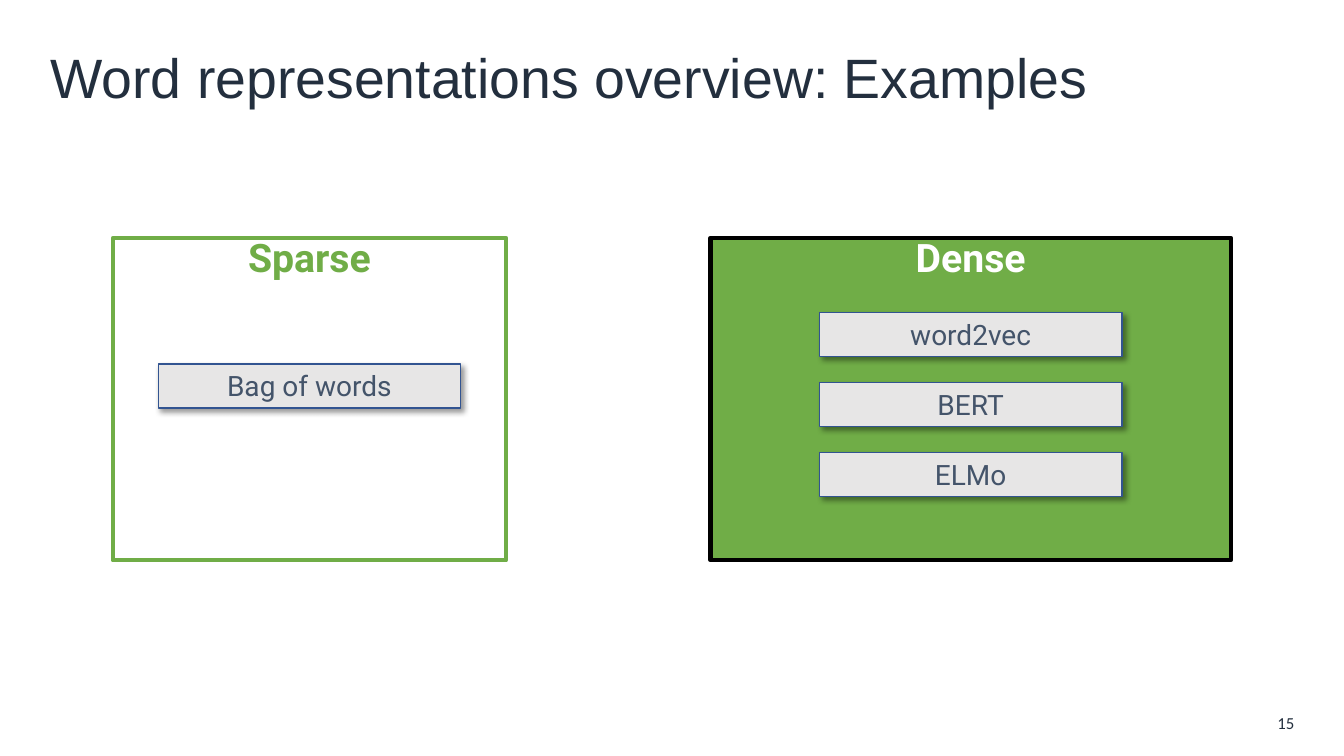
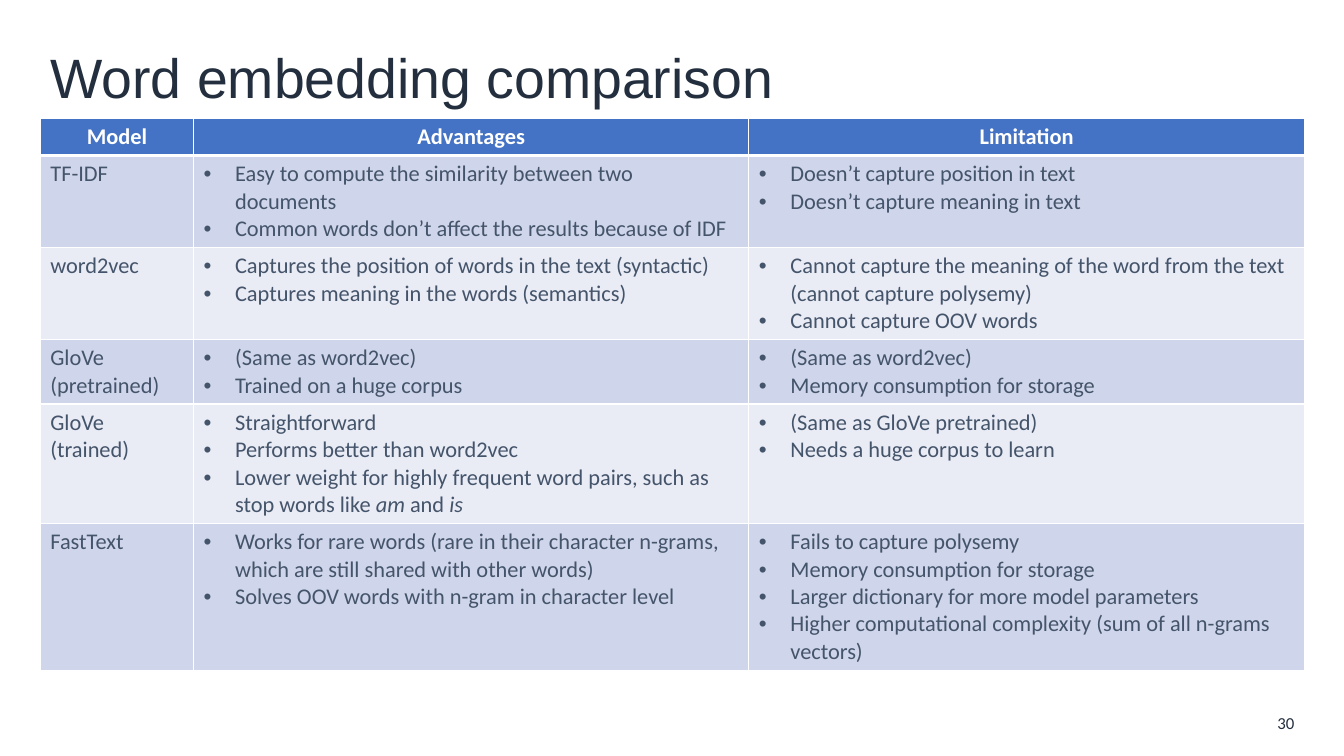
"""Build two slides on word representations: an example map and a comparison table."""
from dataclasses import dataclass

from lxml import etree
from pptx import Presentation
from pptx.dml.color import RGBColor
from pptx.enum import shapes, text
from pptx.oxml import ns
from pptx.util import Pt

COLORS = {
    "ink": "232F3E", "slate": "44546A", "white": "FFFFFF", "black": "000000",
    "green": "70AD47", "gray": "E7E6E6", "navy": "325491",
    "header": "4472C4", "band_dark": "CFD5EA", "band_light": "E9EBF5",
}
MARGIN, CONTENT_W = 28.8, 902.88
PANEL_TOP, PANEL_H = 169.92, 230.4
CARD_W, CARD_H, CARD_STEP = 216, 31.68, 50
BULLET_INDENT = 22.5
COLUMN_WIDTHS = (109.44, 396.72, 396.72)
HEADER_H = 26.4


@dataclass(frozen=True)
class Panel:
    heading: str
    left: float
    width: float
    fill: str
    line: str
    heading_color: str
    first_card_top: float
    cards: tuple[str, ...]


@dataclass(frozen=True)
class Model:
    name: str
    height: float
    advantages: tuple[str, ...]
    limitations: tuple[str, ...]


PANELS = (
    Panel("Sparse", 80.64, 280.8, "white", "green", "green", 259.92, ("Bag of words",)),
    Panel("Dense", 507.6, 371.52, "green", "black", "white", 223.2, ("word2vec", "BERT", "ELMo")),
)
HEADERS = ("Model", "Advantages", "Limitation")
MODELS = (
    Model("TF-IDF", 65.7,
          ("Easy to compute the similarity between two documents",
           "Common words don’t affect the results because of IDF"),
          ("Doesn’t capture position in text", "Doesn’t capture meaning in text")),
    Model("word2vec", 65.7,
          ("Captures the position of words in the text (syntactic)",
           "Captures meaning in the words (semantics)"),
          ("Cannot capture the meaning of the word from the text (cannot capture polysemy)",
           "Cannot capture OOV words")),
    Model("GloVe (pretrained)", 46.2,
          ("(Same as word2vec)", "Trained on a huge corpus"),
          ("(Same as word2vec)", "Memory consumption for storage")),
    Model("GloVe (trained)", 85.3,
          ("Straightforward", "Performs better than word2vec",
           "Lower weight for highly frequent word pairs, such as stop words like *am* and *is*"),
          ("(Same as GloVe pretrained)", "Needs a huge corpus to learn")),
    Model("FastText", 104.8,
          ("Works for rare words (rare in their character n-grams, "
           "which are still shared with other words)",
           "Solves OOV words with n-gram in character level"),
          ("Fails to capture polysemy", "Memory consumption for storage",
           "Larger dictionary for more model parameters",
           "Higher computational complexity (sum of all n-grams vectors)")),
)


def rgb(name: str) -> RGBColor:
    """Return a named colour."""
    return RGBColor.from_string(COLORS[name])


def add_node(parent, tag: str, **attrs):
    """Append a DrawingML element."""
    return etree.SubElement(parent, ns.qn(f"a:{tag}"), {k: str(v) for k, v in attrs.items()})


def write(tf, *paragraphs: str, size: float, color: str, font: str = "Calibri",
          bold: bool = False, align=text.PP_ALIGN.LEFT, bullets: bool = False,
          anchor=None) -> None:
    """Fill a text frame; asterisks enclose italic words."""
    tf.word_wrap = True
    if anchor is not None:
        tf.vertical_anchor = anchor
    for i, line in enumerate(paragraphs):
        p = tf.add_paragraph() if i else tf.paragraphs[0]
        p.alignment = align
        if bullets:
            pPr = p._p.get_or_add_pPr()
            pPr.set("marL", str(Pt(BULLET_INDENT)))
            pPr.set("indent", str(-Pt(BULLET_INDENT)))
            add_node(pPr, "buFont", typeface="Arial")
            add_node(pPr, "buChar", char="•")
        for j, part in enumerate(line.split("*")):
            if part:
                r = p.add_run()
                r.text = part
                r.font.name, r.font.size = font, Pt(size)
                r.font.bold, r.font.italic = bold, j % 2 == 1
                r.font.color.rgb = rgb(color)


def add_text(slide, content: str, left: float, top: float, width: float, height: float,
             **fmt) -> None:
    """Add a text box."""
    sp = slide.shapes.add_textbox(Pt(left), Pt(top), Pt(width), Pt(height))
    write(sp.text_frame, content, **fmt)


def add_box(slide, left: float, top: float, width: float, height: float,
            fill: str, line: str, line_width: float):
    """Add an outlined rectangle."""
    sp = slide.shapes.add_shape(shapes.MSO_SHAPE.RECTANGLE, Pt(left), Pt(top), Pt(width), Pt(height))
    sp.shadow.inherit = False
    sp.fill.solid()
    sp.fill.fore_color.rgb = rgb(fill)
    sp.line.color.rgb = rgb(line)
    sp.line.width = Pt(line_width)
    return sp


def add_card(slide, label: str, left: float, top: float) -> None:
    """Add a labelled card with a soft shadow."""
    sp = add_box(slide, left, top, CARD_W, CARD_H, "gray", "navy", 1)
    effects = sp._element.spPr.find(ns.qn("a:effectLst"))
    shadow = add_node(effects, "outerShdw", blurRad=Pt(4), dist=Pt(3), dir=45 * 60000,
                      algn="tl", rotWithShape=0)
    add_node(add_node(shadow, "srgbClr", val=COLORS["black"]), "alpha", val=40000)
    write(sp.text_frame, label, size=20, color="slate", font="Roboto",
          align=text.PP_ALIGN.CENTER, anchor=text.MSO_ANCHOR.TOP)


def add_panel(slide, panel: Panel) -> None:
    """Add a panel with its heading and centred cards."""
    add_box(slide, panel.left, PANEL_TOP, panel.width, PANEL_H, panel.fill, panel.line, 3)
    add_text(slide, panel.heading, panel.left, PANEL_TOP - 6.5, panel.width, 45.36, size=28,
             color=panel.heading_color, font="Roboto", bold=True, align=text.PP_ALIGN.CENTER)
    card_left = panel.left + (panel.width - CARD_W) / 2
    for i, label in enumerate(panel.cards):
        add_card(slide, label, card_left, panel.first_card_top + i * CARD_STEP)


def style_cell(cell, fill: str, bottom: float = 1, top: float = 1) -> None:
    """Set white borders and a fill."""
    tcPr = cell._tc.get_or_add_tcPr()
    for side, width in (("L", 1), ("R", 1), ("T", top), ("B", bottom)):
        ln = add_node(tcPr, f"ln{side}", w=Pt(width))
        add_node(add_node(ln, "solidFill"), "srgbClr", val=COLORS["white"])
    cell.fill.solid()
    cell.fill.fore_color.rgb = rgb(fill)


def add_comparison(slide) -> None:
    """Add the model comparison table."""
    heights = (HEADER_H, *(m.height for m in MODELS))
    table = slide.shapes.add_table(len(heights), len(HEADERS), Pt(MARGIN), Pt(84.6),
                                   Pt(CONTENT_W), Pt(sum(heights))).table
    table.horz_banding = False
    for column, width in zip(table.columns, COLUMN_WIDTHS):
        column.width = Pt(width)
    for row, height in zip(table.rows, heights):
        row.height = Pt(height)
    for c, label in enumerate(HEADERS):
        cell = table.cell(0, c)
        style_cell(cell, "header", bottom=3)
        write(cell.text_frame, label, size=16, color="white", bold=True,
              align=text.PP_ALIGN.CENTER)
    for r, model in enumerate(MODELS, 1):
        for c, lines in enumerate(((model.name,), model.advantages, model.limitations)):
            cell = table.cell(r, c)
            style_cell(cell, "band_dark" if r % 2 else "band_light", top=3 if r == 1 else 1)
            write(cell.text_frame, *lines, size=16, color="slate", bullets=c > 0)


def add_slide(prs, title: str, number: int):
    """Add a blank slide with its title and number."""
    slide = prs.slides.add_slide(prs.slide_layouts[6])
    add_text(slide, str(number), 893.52, 507.6, 38.16, 18, size=12, color="ink",
             align=text.PP_ALIGN.RIGHT, anchor=text.MSO_ANCHOR.MIDDLE)
    add_text(slide, title, MARGIN, 25.5, CONTENT_W, 57.6, size=39.6, color="ink",
             font="Arial", anchor=text.MSO_ANCHOR.MIDDLE)
    return slide


def main() -> None:
    """Build and save the deck."""
    prs = Presentation()
    prs.slide_width, prs.slide_height = Pt(960), Pt(540)
    overview = add_slide(prs, "Word representations overview: Examples", 15)
    for panel in PANELS:
        add_panel(overview, panel)
    add_comparison(add_slide(prs, "Word embedding comparison", 30))
    prs.save("out.pptx")


if __name__ == "__main__":
    main()
